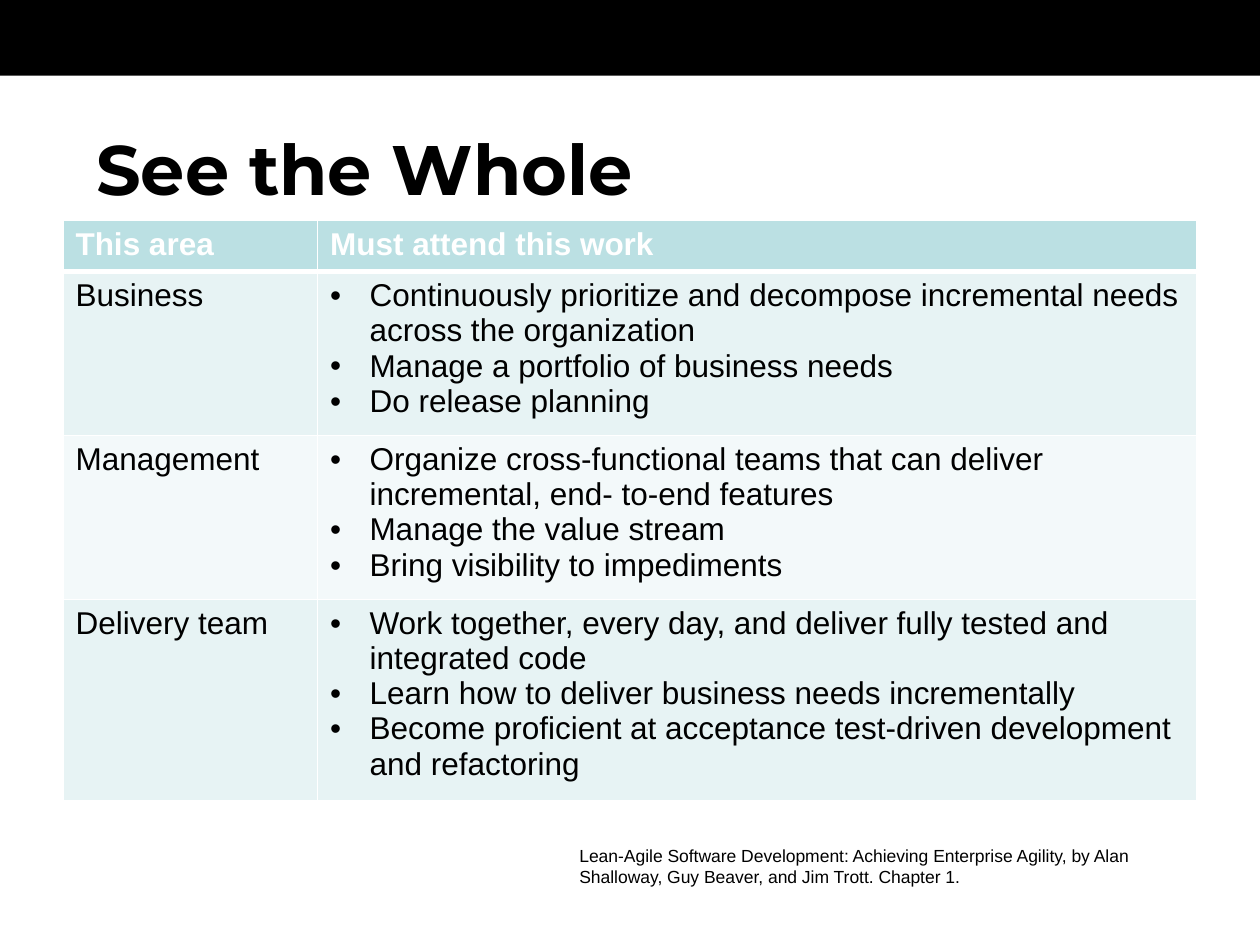
from lxml import etree
from pptx import Presentation
from pptx import util as u
from pptx.dml.color import RGBColor
from pptx.enum import shapes, text
from pptx.oxml.ns import qn

COLORS = {
    "black": "000000",
    "white": "FFFFFF",
    "header": "BBE0E3",
    "band": "E7F3F4",
    "light": "F3F9FA",
}
HEADINGS = ("This area", "Must attend this work")
AREAS = [
    ("Business", [
        "Continuously prioritize and decompose incremental needs across the organization",
        "Manage a portfolio of business needs",
        "Do release planning",
    ]),
    ("Management", [
        "Organize cross-functional teams that can deliver incremental, end- to-end features",
        "Manage the value stream",
        "Bring visibility to impediments",
    ]),
    ("Delivery team", [
        "Work together, every day, and deliver fully tested and integrated code",
        "Learn how to deliver business needs incrementally",
        "Become proficient at acceptance test-driven development and refactoring",
    ]),
]
CITATION = (
    "Lean-Agile Software Development: Achieving Enterprise Agility, "
    "by Alan Shalloway, Guy Beaver, and Jim Trott. Chapter 1."
)


def rgb(name):
    return RGBColor.from_string(COLORS[name])


class SlideBuilder:
    def __init__(self, slide, font="Arial", body_size=18, bullet_indent=22.5):
        self.slide = slide
        self.font = font
        self.body_size = body_size
        self.bullet_indent = bullet_indent

    def style(self, paragraph, size, color="black", bold=False, font=None):
        for run in paragraph.runs:
            run.font.name = font or self.font
            run.font.size = u.Pt(size)
            run.font.bold = bold
            run.font.color.rgb = rgb(color)

    def bar(self, left, top, width, height, color):
        shape = self.slide.shapes.add_shape(
            shapes.MSO_SHAPE.RECTANGLE, *map(u.Pt, (left, top, width, height)))
        shape.shadow.inherit = False
        shape.fill.solid()
        shape.fill.fore_color.rgb = rgb(color)
        shape.line.fill.background()

    def text_box(self, left, top, width, height, content, size,
                 anchor=text.MSO_ANCHOR.TOP, **style):
        box = self.slide.shapes.add_textbox(*map(u.Pt, (left, top, width, height)))
        frame = box.text_frame
        frame.word_wrap = True
        frame.vertical_anchor = anchor
        frame.text = content
        self.style(frame.paragraphs[0], size, **style)

    def bullet(self, paragraph):
        properties = paragraph._p.get_or_add_pPr()
        indent = u.Pt(self.bullet_indent)
        properties.set("marL", str(indent))
        properties.set("indent", str(-indent))
        etree.SubElement(properties, qn("a:buFont"), typeface="Arial")
        etree.SubElement(properties, qn("a:buChar"), char="•")

    def borders(self, cell, top=1, bottom=1):
        properties = cell._tc.get_or_add_tcPr()
        for side, width in (("L", 1), ("R", 1), ("T", top), ("B", bottom)):
            line = etree.SubElement(properties, qn(f"a:ln{side}"), w=str(u.Pt(width)))
            fill = etree.SubElement(line, qn("a:solidFill"))
            etree.SubElement(fill, qn("a:srgbClr"), val=COLORS["white"])

    def cell(self, cell, lines, fill, bulleted=False, color="black", bold=False,
             top=1, bottom=1):
        self.borders(cell, top, bottom)
        cell.fill.solid()
        cell.fill.fore_color.rgb = rgb(fill)
        cell.text_frame.text = "\n".join(lines)
        for paragraph in cell.text_frame.paragraphs:
            self.style(paragraph, self.body_size, color, bold)
            if bulleted:
                self.bullet(paragraph)

    def area_table(self, left, top, widths, heights):
        table = self.slide.shapes.add_table(
            len(heights), len(widths), u.Pt(left), u.Pt(top),
            u.Pt(sum(widths)), u.Pt(sum(heights))).table
        for column, width in zip(table.columns, widths):
            column.width = u.Pt(width)
        for row, height in zip(table.rows, heights):
            row.height = u.Pt(height)
        for index, heading in enumerate(HEADINGS):
            self.cell(table.cell(0, index), [heading], "header",
                      color="white", bold=True, bottom=3)
        for index, (area, duties) in enumerate(AREAS, start=1):
            fill = "band" if index % 2 else "light"
            top_border = 3 if index == 1 else 1
            self.cell(table.cell(index, 0), [area], fill, top=top_border)
            self.cell(table.cell(index, 1), duties, fill, bulleted=True, top=top_border)


def main():
    presentation = Presentation()
    presentation.slide_width = u.Pt(720)
    presentation.slide_height = u.Pt(540)
    builder = SlideBuilder(presentation.slides.add_slide(presentation.slide_layouts[6]))

    builder.bar(0, 0, 720, 43.2, "black")
    builder.text_box(48, 66, 672, 60, "See the Whole", 40,
                     anchor=text.MSO_ANCHOR.MIDDLE, bold=True, font="Montserrat")
    builder.area_table(36, 126, widths=(145.5, 502.5), heights=(29.2, 87.8, 87.8, 107.6))
    builder.text_box(324, 479.5, 360, 31.5, CITATION, 10)

    presentation.save("out.pptx")


if __name__ == "__main__":
    main()
